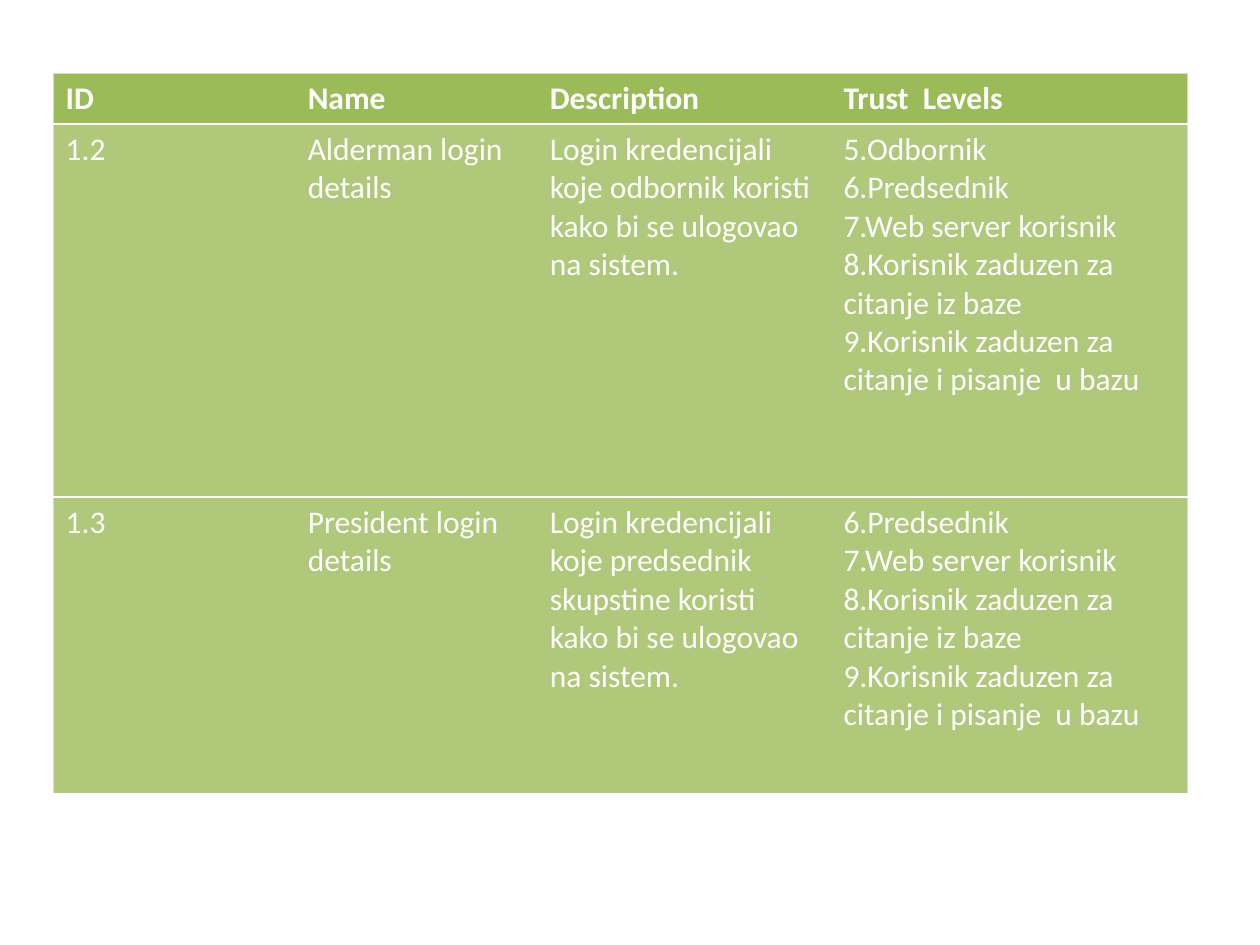
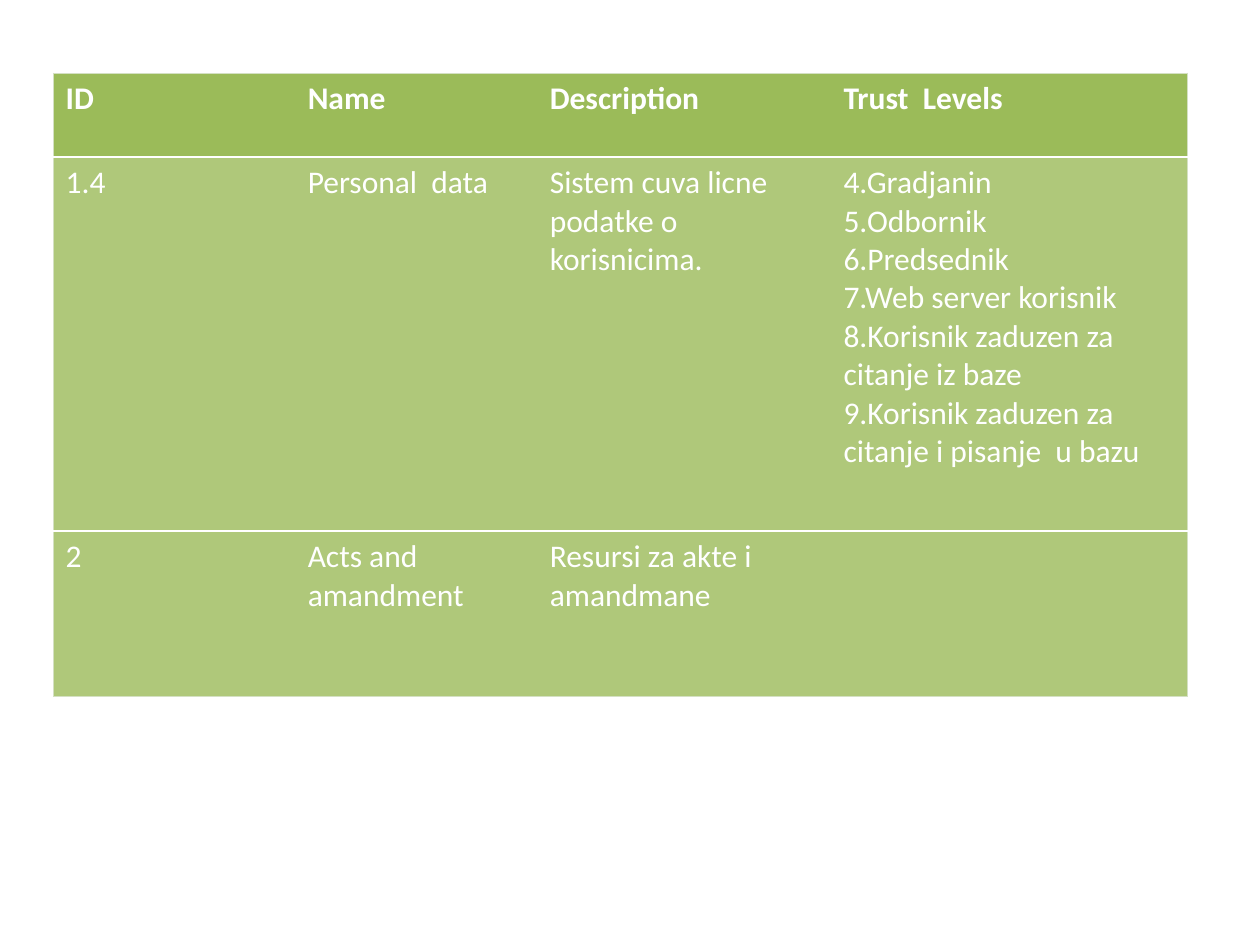
from lxml import etree
from pptx import Presentation
from pptx.dml.color import RGBColor
from pptx.oxml.ns import qn
from pptx.util import Cm, Pt

COLORS = {"header": "9BBB59", "body": "AFC87A", "text": "FFFFFF",
          "rule": "FFFFFF", "frame": "D4E0C3"}
FONT = {"name": "Calibri", "size": Pt(18)}
BLANK_LAYOUT = 6

# Each border is a colour name and a width in points; None draws no line.
RULE = ("rule", 1.47)
FRAME = ("frame", 0.34)

TABLE_BOX = (1.07, 1.47)
COLUMN_WIDTHS = (4.88, 4.88, 5.92, 7.19)
HEADINGS = ("ID", "Name", "Description", "Trust  Levels")
TRUST_LEVELS = {
    4: "Gradjanin",
    5: "Odbornik",
    6: "Predsednik",
    7: "Web server korisnik",
    8: "Korisnik zaduzen za citanje iz baze",
    9: "Korisnik zaduzen za citanje i pisanje  u bazu",
}


def trust_levels_from(first):
    """List the numbered trust levels from the first one given upwards."""
    return "\n".join(f"{number}.{role}" for number, role in TRUST_LEVELS.items()
                     if number >= first)


ASSET_SLIDES = (
    {
        "row_heights": (1.02, 7.52, 5.99),
        "bottom_border": RULE,
        "assets": (
            ("1.2", "Alderman login details",
             "Login kredencijali koje odbornik koristi kako bi se ulogovao na sistem.",
             trust_levels_from(5)),
            ("1.3", "President login details",
             "Login kredencijali koje predsednik skupstine koristi kako bi se "
             "ulogovao na sistem.",
             trust_levels_from(6)),
        ),
    },
    {
        "row_heights": (1.7, 7.54, 3.33),
        "bottom_border": FRAME,
        "assets": (
            ("1.4", "Personal  data", "Sistem cuva licne podatke o korisnicima.",
             trust_levels_from(4)),
            ("2", "Acts and amandment", "Resursi za akte i amandmane", ""),
        ),
    },
)


def rgb(name):
    return RGBColor.from_string(COLORS[name])


def set_borders(cell, borders):
    """Add the left, right, top and bottom lines; call before filling the cell."""
    properties = cell._tc.get_or_add_tcPr()
    for side, border in zip("LRTB", borders):
        line = etree.SubElement(properties, qn(f"a:ln{side}"))
        if border is None:
            etree.SubElement(line, qn("a:noFill"))
            continue
        color, width = border
        line.set("w", str(Pt(width)))
        fill = etree.SubElement(line, qn("a:solidFill"))
        etree.SubElement(fill, qn("a:srgbClr")).set("val", COLORS[color])


def format_cell(cell, text, is_header):
    cell.fill.solid()
    cell.fill.fore_color.rgb = rgb("header" if is_header else "body")
    cell.text = text
    for paragraph in cell.text_frame.paragraphs:
        for attribute, value in {**FONT, "bold": is_header}.items():
            setattr(paragraph.font, attribute, value)
        paragraph.font.color.rgb = rgb("text")


def add_asset_table(slide, box, row_heights, bottom_border, assets):
    rows = (HEADINGS, *assets)
    left, top = box
    table = slide.shapes.add_table(
        len(rows), len(HEADINGS), Cm(left), Cm(top),
        Cm(sum(COLUMN_WIDTHS)), Cm(sum(row_heights))).table
    table.first_row = table.horz_banding = False
    for column, width in zip(table.columns, COLUMN_WIDTHS):
        column.width = Cm(width)
    for row, height in zip(table.rows, row_heights):
        row.height = Cm(height)

    last_row, last_column = len(rows) - 1, len(HEADINGS) - 1
    for row_index, texts in enumerate(rows):
        for column_index, text in enumerate(texts):
            cell = table.cell(row_index, column_index)
            set_borders(cell, (
                FRAME if column_index == 0 else None,
                FRAME if column_index == last_column else None,
                FRAME if row_index == 0 else RULE,
                bottom_border if row_index == last_row else RULE,
            ))
            format_cell(cell, text, is_header=row_index == 0)


def main():
    presentation = Presentation()
    presentation.slide_width, presentation.slide_height = Cm(25.4), Cm(19.05)
    for content in ASSET_SLIDES:
        slide = presentation.slides.add_slide(presentation.slide_layouts[BLANK_LAYOUT])
        add_asset_table(slide, TABLE_BOX, **content)
    presentation.save("out.pptx")


if __name__ == "__main__":
    main()
